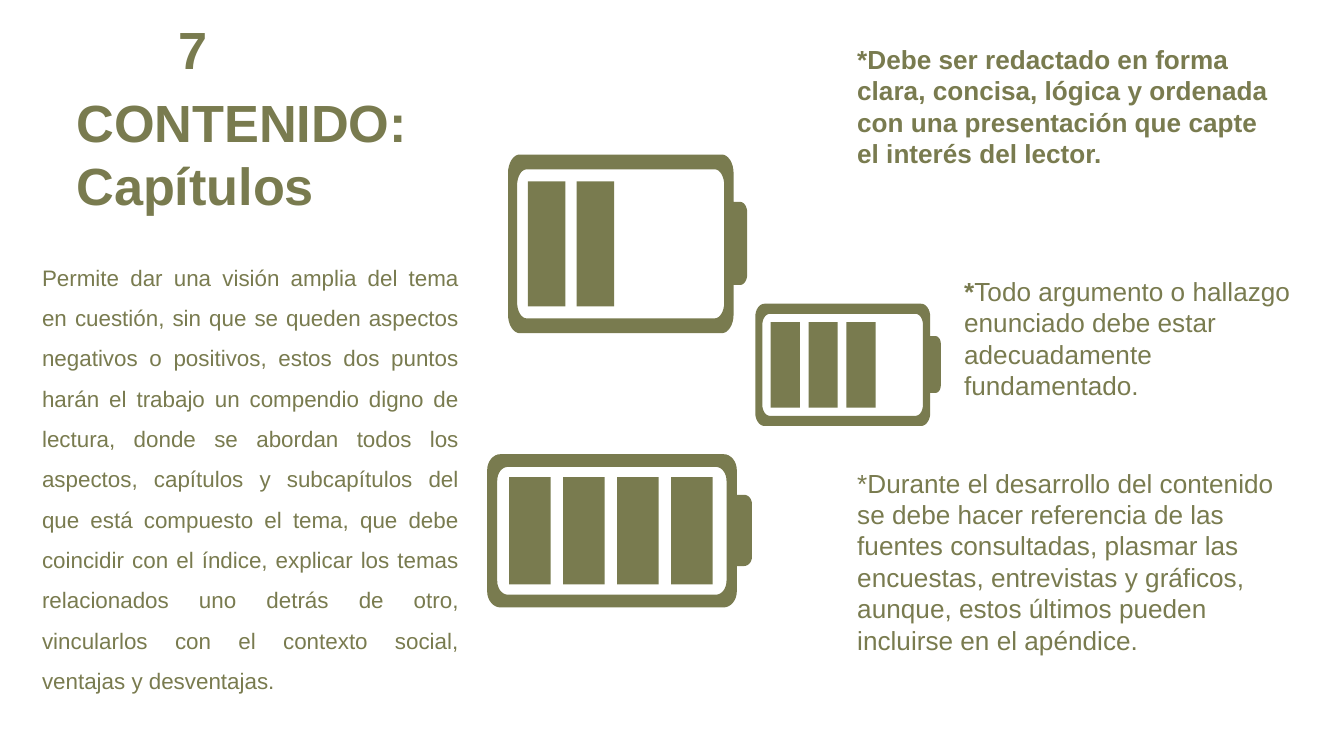
import math

import pptx
import pptx.dml.color
import pptx.enum.text
import pptx.util

COLORS = {"olive": "797B4F", "paper": "FFFFFF"}
FONT = "Arial"
COLUMNS, ROWS = 100, 56.25
SLIDE_WIDTH = pptx.util.Inches(10)
SLIDE_HEIGHT = SLIDE_WIDTH * 9 // 16
ALIGN = pptx.enum.text.PP_ALIGN
ANCHOR = pptx.enum.text.MSO_ANCHOR

OVERVIEW = (
    "Permite dar una visión amplia del tema en cuestión, sin que se queden aspectos "
    "negativos o positivos, estos dos puntos harán el trabajo un compendio digno de "
    "lectura, donde se abordan todos los aspectos, capítulos y subcapítulos del que "
    "está compuesto el tema, que debe coincidir con el índice, explicar los temas "
    "relacionados uno detrás de otro, vincularlos con el contexto social, ventajas y "
    "desventajas."
)
GUIDELINES = [
    ((62.8, 2.7, 33.7, 10.4), [
        ("*Debe ser redactado en forma clara, concisa, lógica y ordenada con una "
         "presentación que capte el interés del lector.", True)]),
    ((70.75, 19.95, 27.1, 10.4), [
        ("*", True),
        ("Todo argumento o hallazgo enunciado debe estar adecuadamente "
         "fundamentado.", False)]),
    ((62.8, 34.2, 35.1, 15.1), [
        ("*Durante el desarrollo del contenido se debe hacer referencia de las "
         "fuentes consultadas, plasmar las encuestas, entrevistas y gráficos, aunque, "
         "estos últimos pueden incluirse en el apéndice.", False)]),
]
BATTERIES = [
    ((56.2, 22.6, 13.8, 9.1), 3),
    ((37.8, 11.5, 17.8, 13.3), 2),
    ((36.25, 33.8, 19.7, 11.4), 4),
]


def rgb(name):
    """Return the named colour."""
    return pptx.dml.color.RGBColor.from_string(COLORS[name])


def place(box):
    """Turn a box in grid columns and rows into slide lengths."""
    left, top, width, height = box
    column, row = SLIDE_WIDTH / COLUMNS, SLIDE_HEIGHT / ROWS
    return [round(n) for n in (left * column, top * row, width * column, height * row)]


def add_frame(slide, box, anchor=ANCHOR.MIDDLE):
    """Add a wrapping text box and return its text frame."""
    frame = slide.shapes.add_textbox(*place(box)).text_frame
    frame.word_wrap = True
    frame.vertical_anchor = anchor
    return frame


def add_run(paragraph, text, size, bold=False):
    """Append one olive run."""
    run = paragraph.add_run()
    run.text = text
    run.font.name = FONT
    run.font.size = pptx.util.Pt(size)
    run.font.bold = bold
    run.font.color.rgb = rgb("olive")


def add_title(slide, box):
    """Place the chapter number, indented, above the heading."""
    frame = add_frame(slide, box)
    number, heading = frame.paragraphs[0], frame.add_paragraph()
    number._p.get_or_add_pPr().set("marL", str(pptx.util.Inches(0.76)))
    for paragraph, text in ((number, "7"), (heading, "CONTENIDO: Capítulos")):
        paragraph.space_before = pptx.util.Pt(5.6)
        add_run(paragraph, text, 28, True)


def add_overview(slide, box):
    """Place the justified description of the chapters."""
    paragraph = add_frame(slide, box, ANCHOR.TOP).paragraphs[0]
    paragraph.alignment = ALIGN.JUSTIFY
    paragraph.line_spacing = 1.5
    add_run(paragraph, OVERVIEW, 12)


def add_guideline(slide, box, pieces):
    """Place one writing guideline."""
    paragraph = add_frame(slide, box).paragraphs[0]
    for text, bold in pieces:
        add_run(paragraph, text, 14, bold)


def outline(left, top, right, bottom, rx=0, ry=0, round_left=True):
    """Return the points of a rectangle whose corners may be rounded."""
    corners = [(right, top, 1, -1, 270), (right, bottom, 1, 1, 0),
               (left, bottom, -1, 1, 90), (left, top, -1, -1, 180)]
    points = []
    for x, y, side, level, start in corners:
        if not rx or (side < 0 and not round_left):
            points.append((x, y))
            continue
        for step in range(9):
            angle = math.radians(start + step * 90 / 8)
            points.append((x + rx * (math.cos(angle) - side),
                           y + ry * (math.sin(angle) - level)))
    return points


def add_battery(slide, box, charge):
    """Draw a battery with the given number of charge bars, in percent of its box."""
    x, y, width, height = place(box)
    bar_start, bar_pitch, bar_width = 8.3, 20.4, 15.7
    contours = [
        outline(0, 0, 94.3, 100, 5, 10.5),
        outline(3.8, 8.3, 90.4, 91.7, 4, 9),
        outline(94.3, 26.5, 100, 73, 3, 6, round_left=False),
    ]
    for bar in range(charge):
        left = bar_start + bar * bar_pitch
        contours.append(outline(left, 15, left + bar_width, 85))
    contours = [[(x + px * width / 100, y + py * height / 100) for px, py in contour]
                for contour in contours]
    builder = slide.shapes.build_freeform(*contours[0][0])
    for contour in contours:
        if contour is not contours[0]:
            builder.move_to(*contour[0])
        builder.add_line_segments(contour[1:], close=True)
    battery = builder.convert_to_shape()
    battery.shadow.inherit = False
    battery.fill.solid()
    battery.fill.fore_color.rgb = rgb("olive")
    battery.line.fill.background()


def main():
    """Build and save the slide."""
    deck = pptx.Presentation()
    deck.slide_width, deck.slide_height = SLIDE_WIDTH, SLIDE_HEIGHT
    slide = deck.slides.add_slide(deck.slide_layouts[6])
    slide.background.fill.solid()
    slide.background.fill.fore_color.rgb = rgb("paper")
    for box, pieces in GUIDELINES:
        add_guideline(slide, box, pieces)
    add_title(slide, (4.7, 0, 30.7, 17.3))
    add_overview(slide, (2.15, 18.15, 33, 37))
    for box, charge in BATTERIES:
        add_battery(slide, box, charge)
    deck.save("out.pptx")


if __name__ == "__main__":
    main()
